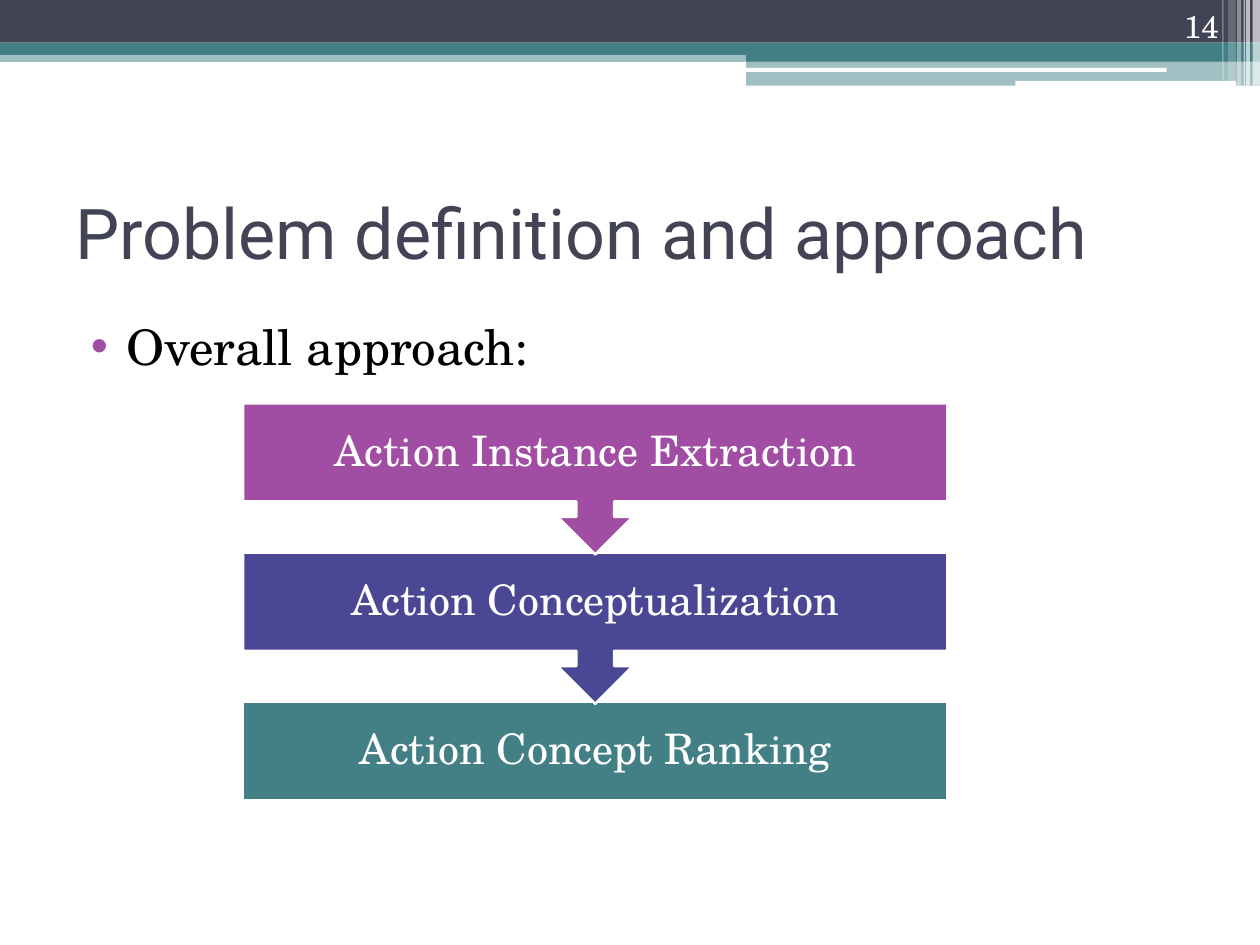
import pptx
import pptx.util
import pptx.dml.color
import pptx.enum.shapes
import pptx.enum.text
import pptx.oxml
import pptx.oxml.ns

Cm, Pt = pptx.util.Cm, pptx.util.Pt
RGB = pptx.dml.color.RGBColor
KIND = pptx.enum.shapes.MSO_SHAPE
ALIGN = pptx.enum.text.PP_ALIGN
ANCHOR = pptx.enum.text.MSO_ANCHOR

SLATE = RGB(0x42, 0x44, 0x56)
TEAL = RGB(0x43, 0x80, 0x86)
PURPLE = RGB(0xA0, 0x4D, 0xA3)
INDIGO = RGB(0x4A, 0x48, 0x94)
WHITE = RGB(0xFF, 0xFF, 0xFF)
BLACK = RGB(0, 0, 0)
HEAD = "Roboto"
SERIF = "TeX Gyre Schola"
WIDE, HIGH = 25.4, 19.05


def place(shape, box):
    shape.left, shape.top, shape.width, shape.height = map(Cm, box)


def style(para, font, size, color, align):
    para.font.name = font
    para.font.size = Pt(size)
    para.font.color.rgb = color
    para.alignment = align


def add_block(slide, kind, box, color, alpha=100):
    """Add a filled shape without outline; alpha is its opacity in percent."""
    shape = slide.shapes.add_shape(kind, *map(Cm, box))
    shape.shadow.inherit = False
    shape.fill.solid()
    shape.fill.fore_color.rgb = color
    shape.line.fill.background()
    if alpha < 100:
        tone = shape.fill._xPr.find(".//" + pptx.oxml.ns.qn("a:srgbClr"))
        tone.append(pptx.oxml.parse_xml(
            f'<a:alpha {pptx.oxml.ns.nsdecls("a")} val="{alpha * 1000}"/>'))
    return shape


def add_band(slide, box):
    """Draw the coloured header with its tab and the stripes at its right end."""
    left, top, width, height = box
    right = left + width
    tab = 10.36
    bars = [
        (left, 1.02, width, 0.23, TEAL, 50),
        (left, 0, width, 0.86, SLATE, 100),
        (left, 0.86, width, 0.25, TEAL, 100),
        (right - tab, 0.99, tab, 0.25, TEAL, 100),
        (right - tab, 1.22, tab, 0.51, TEAL, 50),
    ]
    for x, y, w, h, color, alpha in bars:
        add_block(slide, KIND.RECTANGLE, (x, top + y, w, h), color, alpha)

    for back, y, w, h in [(10.39, 1.37, 8.51, 0.08), (4.93, 1.63, 4.45, 0.1)]:
        add_block(slide, KIND.ROUNDED_RECTANGLE,
                  (right - back, top + y, w, h), WHITE)

    stripes = [(0.15, 0.15, 0, 65), (0.28, 0.08, 0, 65), (0.33, 0.03, 0, 60),
               (0.46, 0.08, 0, 40), (0.64, 0.15, 0.1, 20), (0.76, 0.03, 0.1, 30)]
    for back, w, cut, alpha in stripes:
        add_block(slide, KIND.RECTANGLE,
                  (right - back, top, w, height - cut), WHITE, alpha)


def add_number(slide, box, text):
    label = slide.shapes.add_textbox(*map(Cm, box))
    frame = label.text_frame
    frame.word_wrap = True
    frame.vertical_anchor = ANCHOR.BOTTOM
    frame.text = text
    style(frame.paragraphs[0], SERIF, 18, WHITE, ALIGN.RIGHT)


def fill_title(slide, box, text):
    title = slide.shapes.title
    place(title, box)
    frame = title.text_frame
    frame.text = text
    frame.vertical_anchor = ANCHOR.MIDDLE
    style(frame.paragraphs[0], HEAD, 40, SLATE, ALIGN.LEFT)


def fill_body(slide, box, text):
    body = slide.placeholders[1]
    place(body, box)
    body.text_frame.text = text
    para = body.text_frame.paragraphs[0]
    style(para, SERIF, 28, BLACK, ALIGN.LEFT)
    para.space_before = Pt(3)
    props = para._p.get_or_add_pPr()
    props.set("marL", str(Cm(1.02)))
    props.set("indent", str(Cm(-0.71)))
    names = pptx.oxml.ns.nsdecls("a")
    for tag in (f'<a:buClr {names}><a:srgbClr val="{PURPLE}"/></a:buClr>',
                f'<a:buFont {names} typeface="Arial"/>',
                f'<a:buChar {names} char="•"/>'):
        props.insert_element_before(pptx.oxml.parse_xml(tag), "a:defRPr")


def add_flow(slide, box, steps):
    """Stack the steps; each but the last points down to the next."""
    left, top, width, height = box
    bar, over = 1.98, 0.04
    pitch = (height - bar) / (len(steps) - 1)
    last = len(steps) - 1
    for i, (text, color) in reversed(list(enumerate(steps))):
        kind = KIND.RECTANGLE if i == last else KIND.DOWN_ARROW_CALLOUT
        tall = bar if i == last else pitch + over
        step = add_block(slide, kind, (left, top + i * pitch, width, tall), color)
        step.line.color.rgb = WHITE
        step.line.width = Pt(1.5)
        frame = step.text_frame
        frame.word_wrap = True
        frame.vertical_anchor = ANCHOR.MIDDLE
        frame.margin_left = frame.margin_right = Cm(0.48)
        frame.margin_top = frame.margin_bottom = Cm(0.48)
        frame.text = text
        style(frame.paragraphs[0], SERIF, 24, WHITE, ALIGN.CENTER)
        frame.paragraphs[0].line_spacing = 0.9


def main():
    deck = pptx.Presentation()
    deck.slide_width, deck.slide_height = Cm(WIDE), Cm(HIGH)
    slide = deck.slides.add_slide(deck.slide_layouts[1])
    add_band(slide, (0, 0, WIDE, 1.73))
    fill_title(slide, (1.27, 3.18, 22.86, 2.97), "Problem definition and approach")
    fill_body(slide, (1.27, 6.25, 22.86, 12.01), "Overall approach:")
    add_number(slide, (22.71, 0, 2.11, 1.02), "14")
    add_flow(slide, (4.9, 8.13, 14.2, 8), [
        ("Action Instance Extraction", PURPLE),
        ("Action Conceptualization", INDIGO),
        ("Action Concept Ranking", TEAL),
    ])
    deck.save("out.pptx")


if __name__ == "__main__":
    main()
